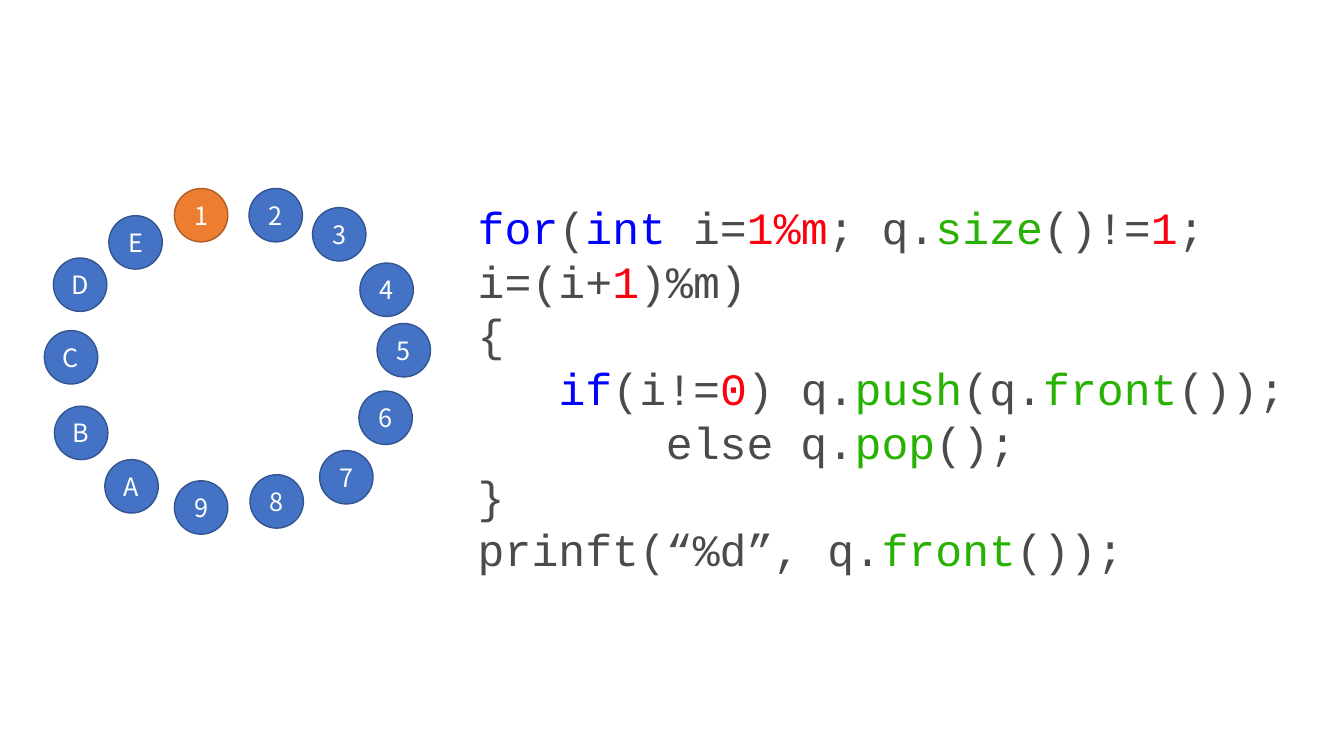
from dataclasses import dataclass

from pptx import Presentation
from pptx.dml.color import RGBColor
from pptx.enum.shapes import MSO_SHAPE
from pptx.enum.text import MSO_ANCHOR, MSO_AUTO_SIZE, PP_ALIGN
from pptx.util import Inches, Pt

OVAL = MSO_SHAPE.OVAL
MIDDLE = MSO_ANCHOR.MIDDLE
CENTER = PP_ALIGN.CENTER
GROW = MSO_AUTO_SIZE.SHAPE_TO_FIT_TEXT


@dataclass(frozen=True)
class Theme:
    """Colours, fonts and sizes of the slide."""
    plain: str = "4B4B4B"
    keyword: str = "0000FF"
    number: str = "FB000E"
    method: str = "27B203"
    node: str = "4472C4"
    node_edge: str = "325491"
    first: str = "ED7D31"
    first_edge: str = "AF5C24"
    label: str = "FFFFFF"
    code_font: str = "Courier New"
    label_font: str = "Noto Sans CJK SC"
    code_size: int = 32
    label_size: int = 18


THEME = Theme()
NODE_SIZE = 0.53
CIRCLE = {
    "1": (1.73, 1.87), "2": (2.47, 1.87), "3": (3.1, 2.06), "4": (3.57, 2.61),
    "5": (3.74, 3.21), "6": (3.56, 3.88), "7": (3.17, 4.47), "8": (2.48, 4.71),
    "9": (1.73, 4.77), "A": (1.04, 4.56), "B": (0.54, 4.03), "C": (0.44, 3.28),
    "D": (0.53, 2.56), "E": (1.08, 2.14),
}
PLAIN, KEYWORD, NUMBER, METHOD = THEME.plain, THEME.keyword, THEME.number, THEME.method
CODE = [
    [("for", KEYWORD), ("(", PLAIN), ("int", KEYWORD), (" i=", PLAIN), ("1%m", NUMBER),
     ("; q.", PLAIN), ("size", METHOD), ("()!=", PLAIN), ("1", NUMBER),
     ("; i=(i+", PLAIN), ("1", NUMBER), (")%m)", PLAIN)],
    [("{", PLAIN)],
    [("   ", PLAIN), ("if", KEYWORD), ("(i!=", PLAIN), ("0", NUMBER), (") q.", PLAIN),
     ("push", METHOD), ("(q.", PLAIN), ("front", METHOD), ("());", PLAIN)],
    [("       else q.", PLAIN), ("pop", METHOD), ("();", PLAIN)],
    [("}", PLAIN)],
    [("prinft(“%d”, q.", PLAIN), ("front", METHOD), ("());", PLAIN)],
]


def style_font(font, name, size, color):
    """Set the face, size and colour of a font."""
    font.name = name
    font.size = Pt(size)
    font.color.rgb = RGBColor.from_string(color)


def add_node(slide, label, left, top, fill, edge):
    """Draw one labelled member of the circle."""
    node = slide.shapes.add_shape(
        OVAL, Inches(left), Inches(top), Inches(NODE_SIZE), Inches(NODE_SIZE))
    node.shadow.inherit = False
    node.fill.solid()
    node.fill.fore_color.rgb = RGBColor.from_string(fill)
    node.line.color.rgb = RGBColor.from_string(edge)
    node.line.width = Pt(1)
    frame = node.text_frame
    frame.vertical_anchor = MIDDLE
    frame.text = label
    caption = frame.paragraphs[0]
    caption.alignment = CENTER
    style_font(caption.runs[0].font, THEME.label_font, THEME.label_size, THEME.label)


def add_code(slide, lines, left, top, width, height):
    """Write syntax-coloured code, one paragraph per line."""
    listing = slide.shapes.add_textbox(
        Inches(left), Inches(top), Inches(width), Inches(height))
    frame = listing.text_frame
    frame.word_wrap = True
    frame.auto_size = GROW
    for index, tokens in enumerate(lines):
        line = frame.add_paragraph() if index else frame.paragraphs[0]
        for text, color in tokens:
            token = line.add_run()
            token.text = text
            style_font(token.font, THEME.code_font, THEME.code_size, color)


def main():
    """Build the slide and save it."""
    deck = Presentation()
    deck.slide_width, deck.slide_height = Inches(13.33), Inches(7.5)
    slide = deck.slides.add_slide(deck.slide_layouts[6])
    add_code(slide, CODE, 4.64, 1.93, 10.1, 3.64)
    for label, (left, top) in CIRCLE.items():
        is_first = label == "1"
        fill = THEME.first if is_first else THEME.node
        edge = THEME.first_edge if is_first else THEME.node_edge
        add_node(slide, label, left, top, fill, edge)
    deck.save("out.pptx")


if __name__ == "__main__":
    main()
